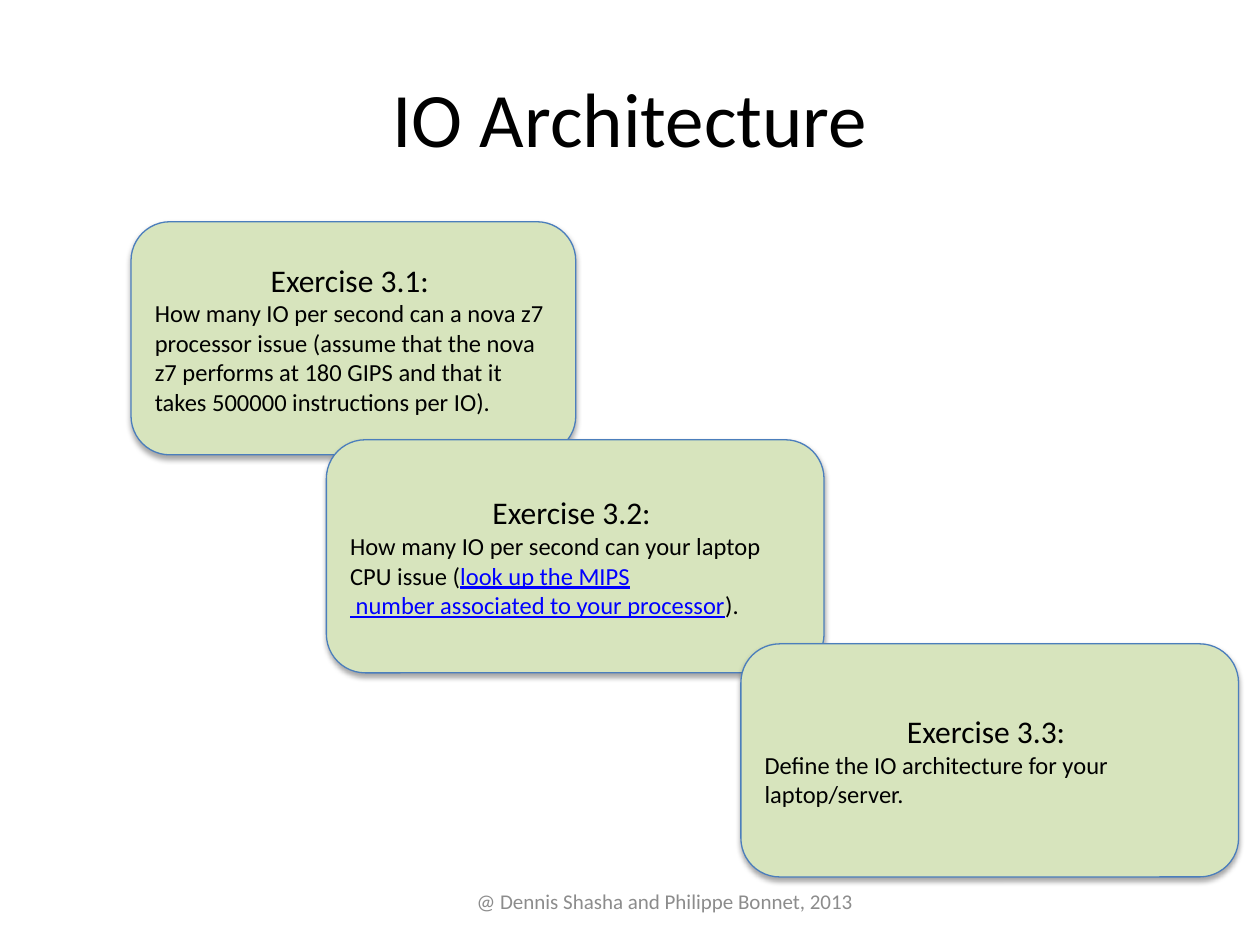
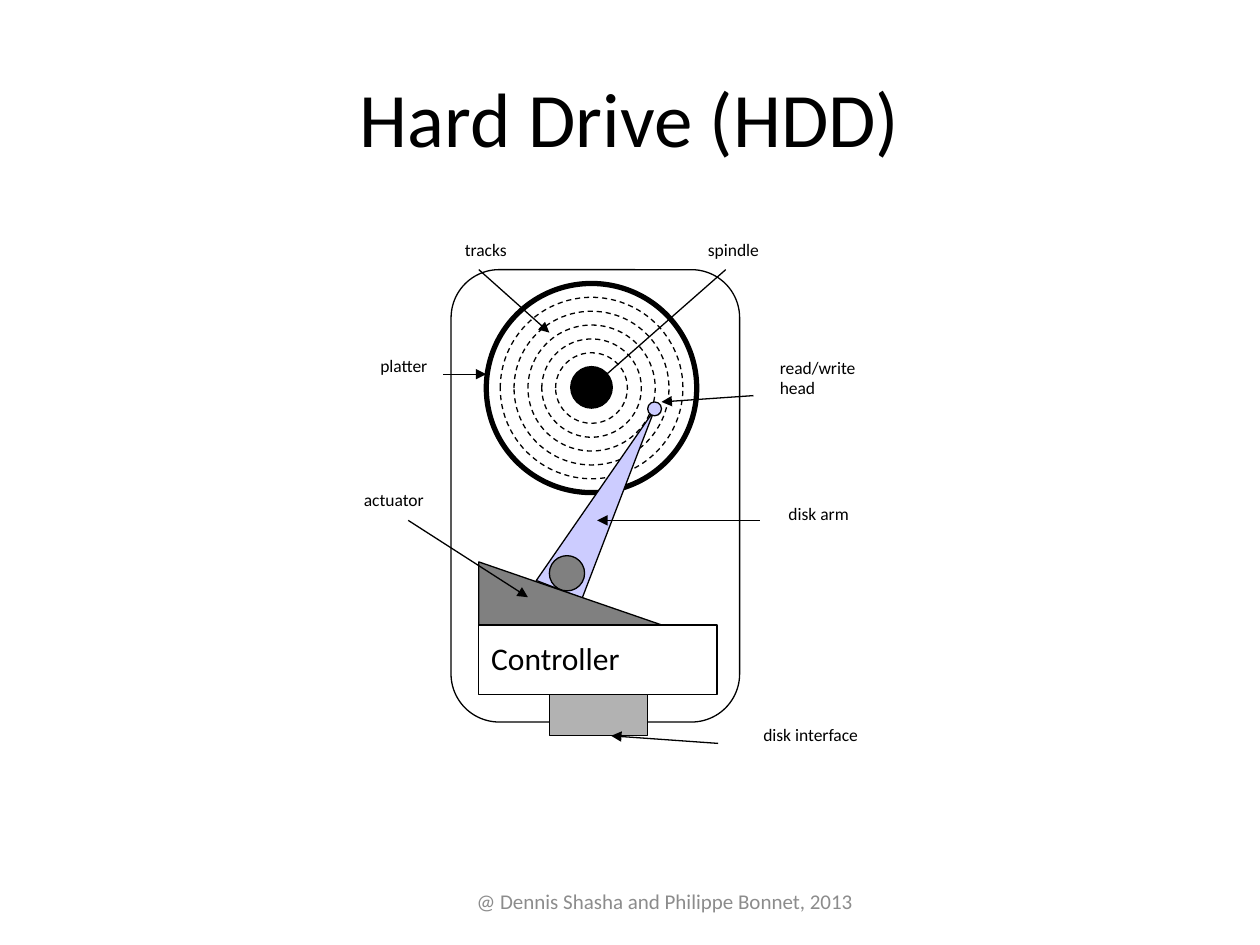
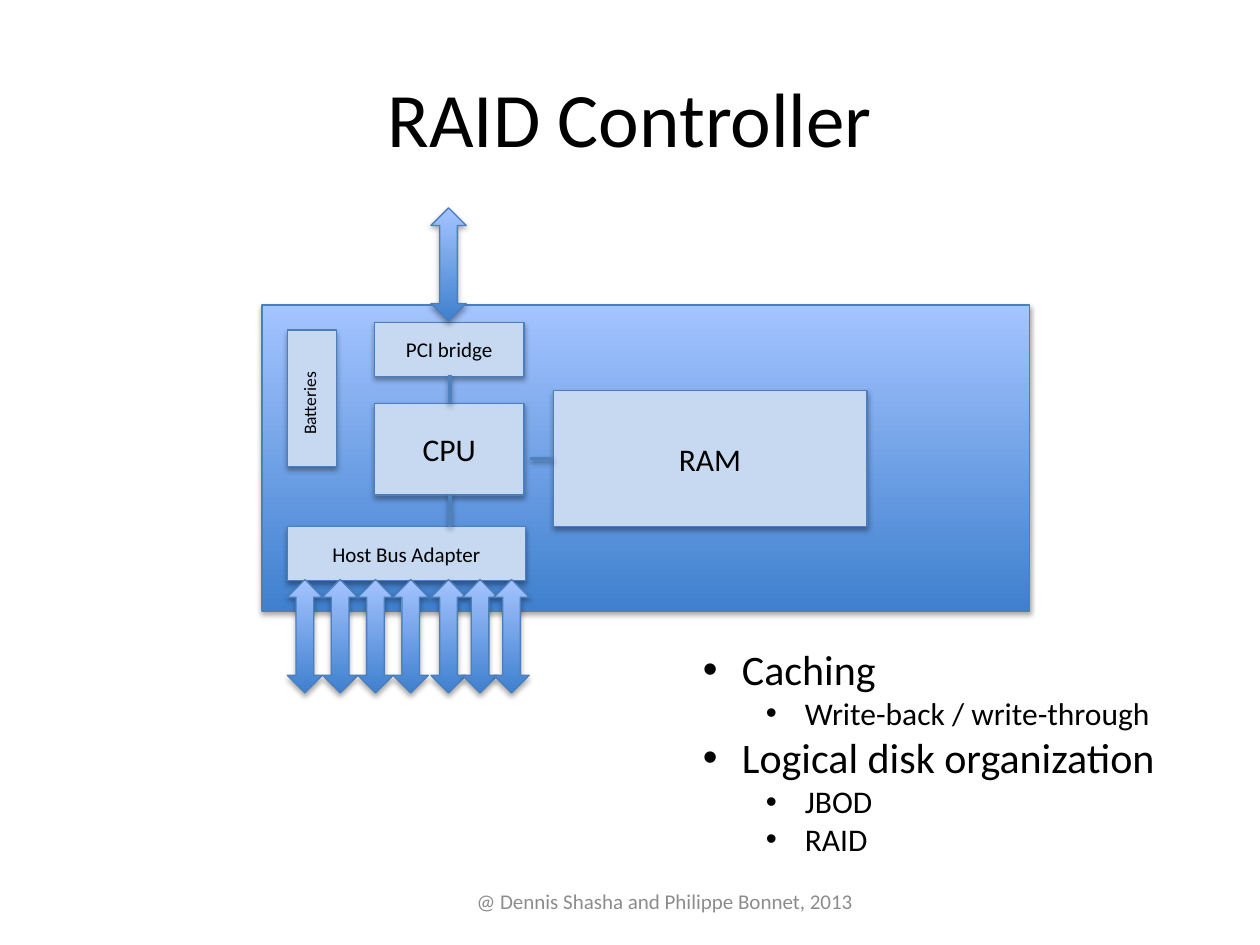
from dataclasses import dataclass
from typing import Optional, Sequence

from lxml.etree import SubElement
from pptx import Presentation
from pptx.dml.color import RGBColor
from pptx.enum.dml import MSO_LINE_DASH_STYLE as Dash
from pptx.enum.shapes import MSO_CONNECTOR_TYPE as ConnectorKind
from pptx.enum.shapes import MSO_SHAPE as Kind
from pptx.enum.text import MSO_ANCHOR as Anchor
from pptx.enum.text import MSO_AUTO_SIZE as AutoSize
from pptx.enum.text import PP_ALIGN as Align
from pptx.oxml.ns import qn
from pptx.util import Emu, Pt

PX = 9144  # 100 px to the inch
TITLE_ONLY = 5


@dataclass(frozen=True)
class Theme:
    font: str = "Calibri"
    ink: str = "000000"
    footer: str = "8C8C8C"
    link: str = "0000FF"
    outline: str = "4B7EBC"
    wire: str = "4F81BD"
    card: str = "D7E4BD"
    chip: str = "C6D9F1"
    board_bottom: str = "3F80CE"
    board_top: str = "A4C4FF"
    arm: str = "CCCCFF"
    metal: str = "808080"
    plug: str = "B2B2B2"
    title_size: int = 44
    topic_size: int = 24
    heading_size: int = 18
    body_size: int = 14
    small_size: int = 12
    label_size: int = 10
    hairline: float = 0.75
    platter_line: float = 3
    wire_line: float = 2


THEME = Theme()


@dataclass(frozen=True)
class Box:
    left: int
    top: int
    width: int
    height: int

    def emu(self) -> list[Emu]:
        return [Emu(value * PX) for value in (self.left, self.top, self.width, self.height)]

    def inset(self, gap: int) -> "Box":
        return Box(self.left + gap, self.top + gap, self.width - 2 * gap, self.height - 2 * gap)


@dataclass(frozen=True)
class Segment:
    x1: int
    y1: int
    x2: int
    y2: int


@dataclass(frozen=True)
class Run:
    text: str
    link: bool = False


@dataclass(frozen=True)
class Exercise:
    box: Box
    heading: str
    body: Sequence[Sequence[Run]]


@dataclass(frozen=True)
class Label:
    box: Box
    lines: Sequence[str]
    pointer: Segment


@dataclass(frozen=True)
class Chip:
    box: Box
    text: str = ""
    size: int = THEME.heading_size


@dataclass(frozen=True)
class Bullet:
    text: str
    level: int = 0


def rgb(color: str) -> RGBColor:
    return RGBColor.from_string(color)


def add_run(paragraph, text: str, *, size: int, color: str = THEME.ink, underline: Optional[bool] = None,
            align: Optional[Align] = None, spacing: Optional[float] = None) -> None:
    run = paragraph.add_run()
    run.text = text
    run.font.name = THEME.font
    run.font.size = Pt(size)
    run.font.color.rgb = rgb(color)
    run.font.underline = underline
    if align is not None:
        paragraph.alignment = align
    if spacing is not None:
        paragraph.line_spacing = spacing


def next_paragraph(frame):
    """Return the first paragraph while it is empty, then a new one."""
    first = frame.paragraphs[0]
    return frame.add_paragraph() if first.runs else first


def add_shadow(shape, *, distance: int = 23000, opacity: int = 35) -> None:
    """Fill the empty effect list of a shape with a soft shadow below it."""
    effects = shape.element.spPr.find(qn("a:effectLst"))
    shadow = SubElement(effects, qn("a:outerShdw"), blurRad="40000", dist=str(distance),
                        dir="5400000", rotWithShape="0")
    color = SubElement(shadow, qn("a:srgbClr"), val=THEME.ink)
    SubElement(color, qn("a:alpha"), val=str(opacity * 1000))


def add_shape(shapes, kind: Kind, box: Box, *, fill: Optional[str] = None, line: str = THEME.ink,
              width: float = THEME.hairline, dash: Optional[Dash] = None, shadow: bool = False):
    shape = shapes.add_shape(kind, *box.emu())
    if fill:
        shape.fill.solid()
        shape.fill.fore_color.rgb = rgb(fill)
    else:
        shape.fill.background()
    shape.line.color.rgb = rgb(line)
    shape.line.width = Pt(width)
    if dash is not None:
        shape.line.dash_style = dash
    shape.shadow.inherit = False
    if shadow:
        add_shadow(shape)
    shape.text_frame.vertical_anchor = Anchor.MIDDLE
    return shape


def add_gradient_shape(shapes, kind: Kind, box: Box) -> None:
    shape = add_shape(shapes, kind, box, line=THEME.outline, shadow=True)
    shape.fill.gradient()
    shape.fill.gradient_angle = 90
    for stop, color in zip(shape.fill.gradient_stops, (THEME.board_bottom, THEME.board_top)):
        stop.color.rgb = rgb(color)


def add_line(shapes, segment: Segment, *, color: str = THEME.ink, width: float = THEME.hairline,
             arrow: bool = False, shadow: bool = False) -> None:
    ends = (segment.x1, segment.y1, segment.x2, segment.y2)
    connector = shapes.add_connector(ConnectorKind.STRAIGHT, *(Emu(value * PX) for value in ends))
    connector.line.color.rgb = rgb(color)
    connector.line.width = Pt(width)
    properties = connector.element.spPr
    if arrow:
        SubElement(properties.find(qn("a:ln")), qn("a:tailEnd"), type="triangle")
    SubElement(properties, qn("a:effectLst"))
    if shadow:
        add_shadow(connector, distance=20000, opacity=38)


def add_text_box(shapes, box: Box, *, wrap: bool = False):
    text_box = shapes.add_textbox(*box.emu())
    frame = text_box.text_frame
    frame.word_wrap = wrap
    frame.auto_size = AutoSize.NONE if wrap else AutoSize.SHAPE_TO_FIT_TEXT
    return text_box


def add_slide(presentation, title: str):
    slide = presentation.slides.add_slide(presentation.slide_layouts[TITLE_ONLY])
    heading = slide.shapes.title
    heading.left, heading.top, heading.width, heading.height = Box(50, 30, 900, 125).emu()
    heading.text_frame.vertical_anchor = Anchor.MIDDLE
    add_run(heading.text_frame.paragraphs[0], title, size=THEME.title_size, align=Align.CENTER)
    footer = add_text_box(slide.shapes, Box(342, 695, 375, 40), wrap=True).text_frame
    footer.vertical_anchor = Anchor.MIDDLE
    add_run(footer.paragraphs[0], "@ Dennis Shasha and Philippe Bonnet, 2013 ",
            size=THEME.small_size, color=THEME.footer, align=Align.CENTER)
    return slide


EXERCISES = (
    Exercise(Box(104, 176, 353, 185), "Exercise 3.1: ", (
        (Run("How many IO per second can a nova z7 processor issue (assume that the nova z7 performs "
             "at 180 GIPS and that it takes 500000 instructions per IO)."),),)),
    Exercise(Box(259, 349, 395, 185), "Exercise 3.2: ", (
        (Run("How many IO per second can your laptop CPU issue ("), Run("look up the MIPS", link=True)),
        (Run(" number associated to your processor", link=True), Run(").")))),
    Exercise(Box(588, 511, 395, 185), "Exercise 3.3: ", (
        (Run("Define the IO architecture for your laptop/server."),),)),
)


def build_exercises(presentation) -> None:
    slide = add_slide(presentation, "IO Architecture")
    for exercise in EXERCISES:
        card = add_shape(slide.shapes, Kind.ROUNDED_RECTANGLE, exercise.box, fill=THEME.card,
                         line=THEME.outline, shadow=True)
        frame = card.text_frame
        add_run(next_paragraph(frame), exercise.heading, size=THEME.heading_size, align=Align.CENTER)
        for runs in exercise.body:
            paragraph = next_paragraph(frame)
            for run in runs:
                add_run(paragraph, run.text, size=THEME.body_size, align=Align.LEFT,
                        color=THEME.link if run.link else THEME.ink, underline=run.link or None)


PLATTER = Box(386, 225, 167, 166)
TRACK_COUNT = 5
TRACK_GAP = 11
TIGHT = 0.93

LABELS = (
    Label(Box(609, 280, 98, 50), ("read/write ", "head"), Segment(598, 314, 525, 319)),
    Label(Box(616, 396, 87, 31), ("disk arm",), Segment(603, 413, 474, 413)),
    Label(Box(359, 186, 69, 31), ("tracks",), Segment(380, 214, 436, 264)),
    Label(Box(292, 278, 71, 31), ("platter",), Segment(352, 297, 386, 297)),
    Label(Box(552, 186, 77, 31), ("spindle",), Segment(576, 214, 469, 308)),
    Label(Box(279, 385, 84, 31), ("actuator",), Segment(324, 413, 419, 474)),
    Label(Box(596, 571, 123, 31), ("disk interface",), Segment(570, 590, 485, 584)),
)


def build_hard_drive(presentation) -> None:
    slide = add_slide(presentation, "Hard Drive (HDD)")
    drive = slide.shapes.add_group_shape().shapes

    add_shape(drive, Kind.ROUNDED_RECTANGLE, Box(358, 214, 229, 359))
    add_shape(drive, Kind.OVAL, PLATTER, width=THEME.platter_line)
    for track in range(1, TRACK_COUNT + 1):
        add_shape(drive, Kind.OVAL, PLATTER.inset(track * TRACK_GAP), dash=Dash.DASH)
    add_shape(drive, Kind.OVAL, Box(453, 291, 33, 33), fill=THEME.ink)

    arm = add_shape(drive, Kind.ISOSCELES_TRIANGLE, Box(453, 313, 39, 160), fill=THEME.arm)
    arm.adjustments[0] = 1
    arm.rotation = 21
    add_shape(drive, Kind.OVAL, Box(514, 319, 11, 11), fill=THEME.arm)
    add_shape(drive, Kind.OVAL, Box(436, 441, 28, 28), fill=THEME.metal)
    add_shape(drive, Kind.RIGHT_TRIANGLE, Box(380, 446, 145, 50), fill=THEME.metal)

    controller = add_shape(drive, Kind.RECTANGLE, Box(380, 496, 189, 55)).text_frame
    controller.word_wrap = False
    add_run(controller.paragraphs[0], "Controller", size=THEME.heading_size, align=Align.LEFT, spacing=TIGHT)
    add_shape(drive, Kind.RECTANGLE, Box(436, 551, 78, 33), fill=THEME.plug)

    for label in LABELS:
        frame = add_text_box(drive, label.box).text_frame
        for line in label.lines:
            add_run(next_paragraph(frame), line, size=THEME.label_size, spacing=TIGHT)
        add_line(drive, label.pointer, arrow=True)


CHIPS = (
    Chip(Box(297, 320, 119, 73), "CPU"),
    Chip(Box(439, 310, 249, 108), "RAM"),
    Chip(Box(297, 256, 119, 43), "PCI bridge", THEME.small_size),
    Chip(Box(228, 418, 189, 43), "Host Bus Adapter", THEME.small_size),
    Chip(Box(228, 262, 39, 108)),
)
HOST_ARROW = Box(342, 165, 28, 90)
DISK_ARROW_LEFTS = (228, 256, 284, 312, 342, 367, 392)
WIRES = (Segment(357, 298, 357, 320), Segment(357, 392, 357, 418), Segment(421, 364, 439, 364))
TOPICS = (
    Bullet("Caching"),
    Bullet("Write-back / write-through", 1),
    Bullet("Logical disk organization"),
    Bullet("JBOD", 1),
    Bullet("RAID", 1),
)
BULLET_INDENT = 31
LEVEL_INDENT = 50


def add_bullet(paragraph, bullet: Bullet) -> None:
    paragraph.level = bullet.level
    properties = paragraph.element.get_or_add_pPr() if hasattr(paragraph, "element") else paragraph._p.get_or_add_pPr()
    properties.set("marL", str((BULLET_INDENT + bullet.level * LEVEL_INDENT) * PX))
    properties.set("indent", str(-BULLET_INDENT * PX))
    SubElement(properties, qn("a:buFont"), typeface="Arial")
    SubElement(properties, qn("a:buChar"), char="•")
    add_run(paragraph, bullet.text, size=THEME.heading_size if bullet.level else THEME.topic_size)


def build_raid_controller(presentation) -> None:
    slide = add_slide(presentation, "RAID Controller")
    shapes = slide.shapes
    add_gradient_shape(shapes, Kind.RECTANGLE, Box(208, 242, 609, 243))
    for chip in CHIPS:
        shape = add_shape(shapes, Kind.RECTANGLE, chip.box, fill=THEME.chip, line=THEME.outline, shadow=True)
        if chip.text:
            add_run(shape.text_frame.paragraphs[0], chip.text, size=chip.size, align=Align.CENTER)

    disk_arrows = [Box(left, 460, HOST_ARROW.width, HOST_ARROW.height) for left in DISK_ARROW_LEFTS]
    for box in (HOST_ARROW, *disk_arrows):
        add_gradient_shape(shapes, Kind.UP_DOWN_ARROW, box)
    for wire in WIRES:
        add_line(shapes, wire, color=THEME.wire, width=THEME.wire_line, shadow=True)

    topics = add_text_box(shapes, Box(548, 506, 392, 182)).text_frame
    for bullet in TOPICS:
        add_bullet(next_paragraph(topics), bullet)

    batteries = add_text_box(shapes, Box(210, 306, 71, 27))
    batteries.rotation = 270
    add_run(batteries.text_frame.paragraphs[0], "Batteries", size=THEME.label_size)


def main() -> None:
    presentation = Presentation()
    presentation.slide_width = Emu(1000 * PX)
    presentation.slide_height = Emu(750 * PX)
    build_exercises(presentation)
    build_hard_drive(presentation)
    build_raid_controller(presentation)
    presentation.save("out.pptx")


if __name__ == "__main__":
    main()
